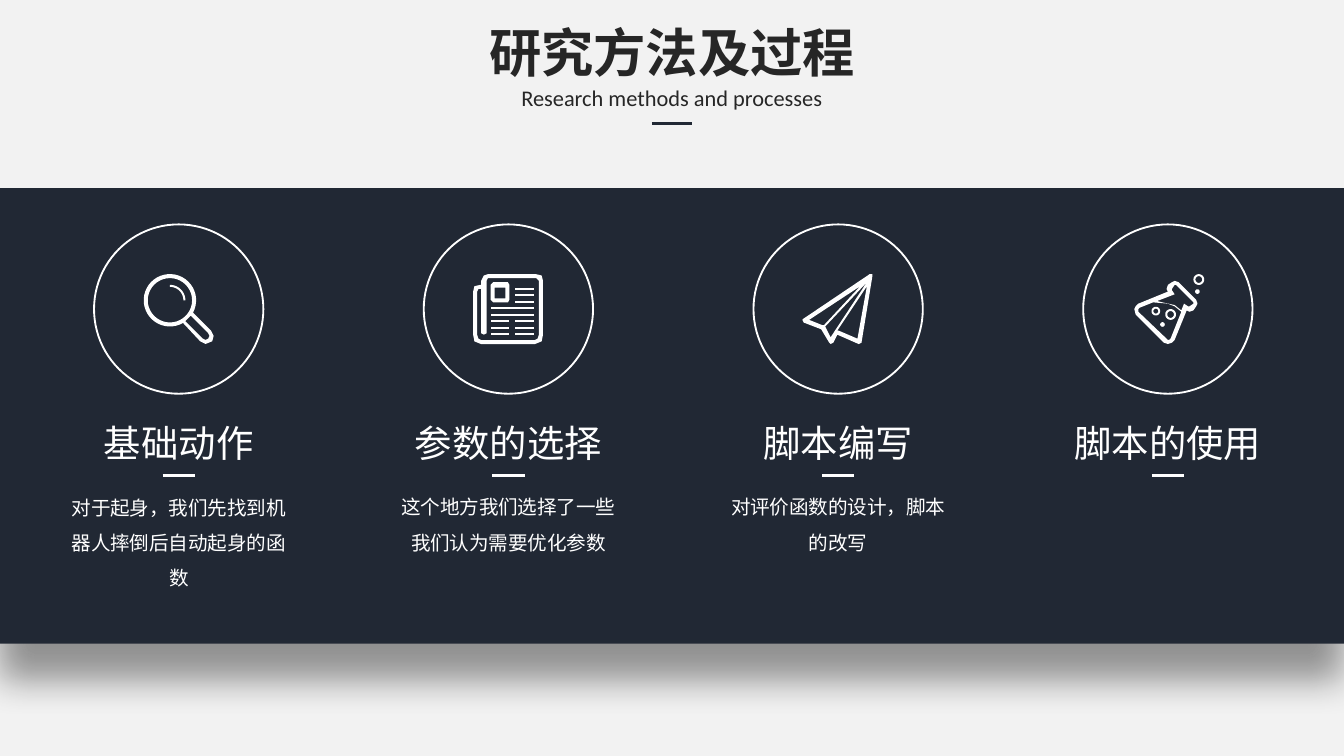
"""Build the research methods slide with four icon columns on a dark band."""
from dataclasses import dataclass
from math import cos, radians, sin

from lxml import etree
from pptx import Presentation
from pptx import util as u
from pptx.dml.color import RGBColor
from pptx.enum import shapes, text
from pptx.oxml.ns import qn

NAVY = RGBColor(0x21, 0x28, 0x34)
WHITE = RGBColor(0xFF, 0xFF, 0xFF)
INK = RGBColor(0x26, 0x26, 0x26)
PAPER = RGBColor(0xF2, 0xF2, 0xF2)
CJK, LATIN = "Noto Sans CJK SC", "Calibri"
SLIDE_WIDTH = 10
SLIDE_HEIGHT = SLIDE_WIDTH * 9 / 16
FIRST_CENTRE, LAST_CENTRE = 1.33, 8.69

Contour = list[tuple[float, float]]
Part = list[Contour]


@dataclass
class Style:
    size: float
    font: str
    color: RGBColor
    bold: bool = False
    wrap: bool = False
    spacing: float = 1.0


@dataclass
class Column:
    heading: str
    description: str
    lines: int
    icon: list[Part]


TITLE = Style(28, CJK, INK, bold=True)
SUBTITLE = Style(12, LATIN, INK)
HEADING = Style(20, CJK, WHITE)
DESCRIPTION = Style(10.5, LATIN, WHITE, wrap=True, spacing=1.5)


def outline(points: str) -> Contour:
    """Read corner points given in hundredths of an inch."""
    return [tuple(float(value) for value in pair.split(",")) for pair in points.split()]


def arc(x: float, y: float, radius: float, start: int = 0, end: int = 360) -> Contour:
    """Return points along an arc, in hundredths of an inch."""
    angles = [radians(start + (end - start) * step / 40) for step in range(41)]
    return [(x + radius * cos(angle), y + radius * sin(angle)) for angle in angles]


def ring(x: float, y: float, outer: float, inner: float) -> Part:
    """Return a circle with a round hole."""
    return [arc(x, y, outer), arc(x, y, inner)]


def bar(left: float, top: float, width: float) -> Part:
    """Return one printed line of the newspaper."""
    right, bottom = left + width, top + 1.6
    return [[(left, top), (right, top), (right, bottom), (left, bottom)]]


def newspaper_bars() -> list[Part]:
    """Return the printed lines, set in two columns around two full rows."""
    rows = [[(383, 14)]] * 3 + [[(365, 32)]] * 2 + [[(365, 14), (383, 14)]] * 3
    pitch = (248 - 214) / (len(rows) - 1)
    return [bar(left, 214 + pitch * index, width)
            for index, row in enumerate(rows) for left, width in row]


MAGNIFIER = [
    [arc(126.5, 223.5, 19.5, 60, 388) + outline("157,246 159,250 158,254 153,256 149,254"),
     arc(126.5, 223.5, 16.5),
     outline("151,252 153,253 155,252 156,250 155,248 142,235 138,239")],
    [arc(126.5, 223.5, 11.5, -90, 0) + arc(126.5, 223.5, 10, 0, -90)],
]
NEWSPAPER = [
    [outline("401,249 400,252 398,253 358,253 356,252 355,249 355,217 356,215 358,215 "
             "358,248 360,249 362,248 362,209 363,207 399,207 401,209"),
     outline("399,204 363,204 360,205 358,209 358,212 357,212 353,213 352,217 352,249 "
             "353,254 358,256 398,256 403,254 404,249 404,209 403,205")],
    *newspaper_bars(),
    [outline("368,214 376,214 376,222 368,222"),
     outline("367,225 378,225 379,223 379,212 378,210 367,210 365,212 365,223")],
]
PAPER_PLANE = [
    [outline("638,252 624,246 623,246 645,213"),
     outline("614,243 645,210 618,251"),
     outline("602,238 640,213 613,242 612,242"),
     outline("649,204 647,204 598,237 597,238 598,240 611,245 617,255 618,256 "
             "620,255 623,249 639,256 641,255 649,206")],
]
FLASK = [
    [outline("888,226 885,228 884,228 881,226 879,231 874,227 865,225 861,224 874,219 "
             "872,216 872,215 874,212 875,212 888,225"),
     outline("871,252 870,253 869,253 868,252 847,232 847,230 848,229 858,225 869,226 "
             "874,228 879,232"),
     outline("877,210 874,209 872,210 869,212 868,215 869,217 847,226 845,228 844,230 "
             "845,234 866,255 869,256 872,255 874,253 883,231 885,232 888,231 890,228 "
             "891,226 890,223")],
    ring(871, 234, 4, 2.5),
    ring(892, 208, 4, 2.5),
    ring(860, 231.5, 3.2, 1.8),
    [arc(865, 241.5, 1.7)],
    [arc(891, 217, 1.7)],
]
COLUMNS = [
    Column("基础动作", "对于起身，我们先找到机器人摔倒后自动起身的函数", 3, MAGNIFIER),
    Column("参数的选择", "这个地方我们选择了一些我们认为需要优化参数", 2, NEWSPAPER),
    Column("脚本编写", "对评价函数的设计，脚本的改写", 2, PAPER_PLANE),
    Column("脚本的使用", "", 0, FLASK),
]


def add_text(slide, content: str, centre: float, top: float, width: float,
             height: float, style: Style) -> None:
    """Add a centred text box."""
    box = slide.shapes.add_textbox(u.Inches(centre - width / 2), u.Inches(top),
                                   u.Inches(width), u.Inches(height))
    frame = box.text_frame
    frame.word_wrap = style.wrap
    frame.auto_size = text.MSO_AUTO_SIZE.SHAPE_TO_FIT_TEXT
    paragraph = frame.paragraphs[0]
    paragraph.text = content
    paragraph.alignment = text.PP_ALIGN.CENTER
    paragraph.line_spacing = style.spacing
    font = paragraph.font
    font.size, font.name, font.bold = u.Pt(style.size), style.font, style.bold
    font.color.rgb = style.color
    defaults = paragraph._p.pPr.find(qn("a:defRPr"))
    etree.SubElement(defaults, qn("a:ea"), typeface=CJK)


def add_rule(slide, centre: float, top: float, width: float, color: RGBColor) -> None:
    """Add a short horizontal line."""
    line = slide.shapes.add_connector(
        shapes.MSO_CONNECTOR.STRAIGHT, u.Inches(centre - width / 2), u.Inches(top),
        u.Inches(centre + width / 2), u.Inches(top))
    line.line.color.rgb, line.line.width = color, u.Pt(1.5)
    etree.SubElement(line._element.spPr, qn("a:effectLst"))


def add_band(slide) -> None:
    """Add the dark band with its soft shadow."""
    band = slide.shapes.add_shape(shapes.MSO_SHAPE.RECTANGLE, 0, u.Inches(1.4),
                                  u.Inches(SLIDE_WIDTH), u.Inches(3.39))
    band.fill.solid()
    band.fill.fore_color.rgb = NAVY
    band.line.fill.background()
    band.shadow.inherit = False
    effects = band._element.spPr.find(qn("a:effectLst"))
    shadow = etree.SubElement(effects, qn("a:outerShdw"), blurRad=str(u.Pt(20)),
                              dist=str(u.Pt(20)), dir="5400000", rotWithShape="0")
    color = etree.SubElement(shadow, qn("a:srgbClr"), val="000000")
    etree.SubElement(color, qn("a:alpha"), val="40000")


def add_part(slide, part: Part):
    """Add one white outline, with its holes."""
    contours = [[(u.Inches(x / 100), u.Inches(y / 100)) for x, y in contour]
                for contour in part]
    builder = slide.shapes.build_freeform(*contours[0][0])
    for index, contour in enumerate(contours):
        if index:
            builder.move_to(*contour[0])
        builder.add_line_segments(contour[1:], close=True)
    shape = builder.convert_to_shape()
    shape.fill.solid()
    shape.fill.fore_color.rgb = WHITE
    shape.line.fill.background()
    shape.shadow.inherit = False
    return shape


def add_column(slide, column: Column, centre: float) -> None:
    """Add a circled icon with its heading, rule and description."""
    circle = slide.shapes.add_shape(shapes.MSO_SHAPE.OVAL, u.Inches(centre - 0.63),
                                    u.Inches(1.67), u.Inches(1.26), u.Inches(1.26))
    circle.fill.background()
    circle.line.color.rgb, circle.line.width = WHITE, u.Pt(1)
    circle.shadow.inherit = False
    if column.description:
        add_text(slide, column.description, centre, 3.55, 1.88,
                 0.1 + 0.27 * column.lines, DESCRIPTION)
    add_text(slide, column.heading, centre, 3.08, 0.19 + 0.28 * len(column.heading),
             0.44, HEADING)
    add_rule(slide, centre, 3.54, 0.24, WHITE)
    parts = [add_part(slide, part) for part in column.icon]
    if len(parts) > 1:
        slide.shapes.add_group_shape(parts)


def main() -> None:
    """Build and save the presentation."""
    presentation = Presentation()
    presentation.slide_width = u.Inches(SLIDE_WIDTH)
    presentation.slide_height = u.Inches(SLIDE_HEIGHT)
    slide = presentation.slides.add_slide(presentation.slide_layouts[6])
    slide.background.fill.solid()
    slide.background.fill.fore_color.rgb = PAPER
    add_band(slide)
    add_text(slide, "研究方法及过程", 5, 0.1, 2.95, 0.57, TITLE)
    add_text(slide, "Research methods and processes", 5, 0.58, 2.44, 0.3, SUBTITLE)
    add_rule(slide, 5, 0.92, 0.3, NAVY)
    pitch = (LAST_CENTRE - FIRST_CENTRE) / (len(COLUMNS) - 1)
    for index, column in enumerate(COLUMNS):
        add_column(slide, column, FIRST_CENTRE + pitch * index)
    presentation.save("out.pptx")


main()
